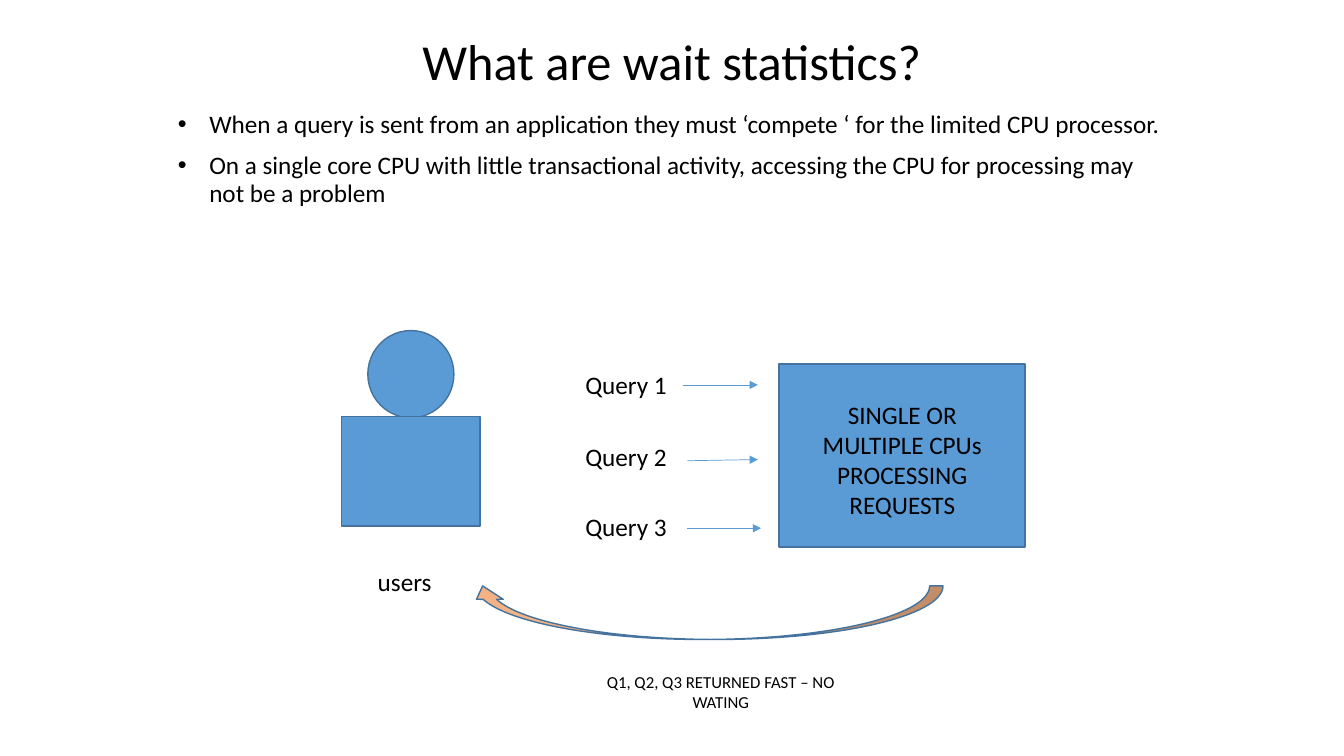
from dataclasses import dataclass

from lxml import etree
from pptx import Presentation
from pptx.dml.color import RGBColor
from pptx.enum import shapes, text
from pptx.oxml import ns
from pptx.util import Cm, Pt

COLOURS = {
    "text": "000000",
    "blue": "5B9BD5",
    "outline": "43739E",
    "orange": "F4B183",
}
FONT = "Calibri"
CENTRE = text.PP_ALIGN.CENTER
LEFT = text.PP_ALIGN.LEFT


@dataclass
class Area:
    left: float
    top: float
    width: float
    height: float

    def lengths(self) -> tuple:
        return Cm(self.left), Cm(self.top), Cm(self.width), Cm(self.height)


@dataclass
class Figure:
    kind: shapes.MSO_SHAPE
    area: Area
    fill: str = "blue"
    rotation: float = 0


@dataclass
class Label:
    words: str
    area: Area
    size: float = 18
    align: text.PP_ALIGN = LEFT


@dataclass
class Arrow:
    start: tuple[float, float]
    end: tuple[float, float]


FIGURES = [
    Figure(shapes.MSO_SHAPE.RECTANGLE, Area(19.63, 9.17, 6.2, 4.62)),
    Figure(shapes.MSO_SHAPE.OVAL, Area(9.27, 8.33, 2.17, 2.2)),
    Figure(shapes.MSO_SHAPE.RECTANGLE, Area(8.61, 10.49, 3.49, 2.77)),
    Figure(shapes.MSO_SHAPE.CURVED_LEFT_ARROW,
           Area(17.12, 9.47, 1.35, 11.94), "orange", 90),
]
QUERY_TOPS = [9.17, 11.0, 12.75]
LABELS = [
    Label(f"Query {number}", Area(14.5, top, 2.67, 1.02))
    for number, top in enumerate(QUERY_TOPS, start=1)
] + [
    Label("SINGLE OR MULTIPLE CPUs\nPROCESSING REQUESTS",
          Area(20.29, 9.93, 4.9, 3.33), align=CENTRE),
    Label("users", Area(9.27, 14.15, 2.17, 1.02)),
    Label("Q1, Q2, Q3 RETURNED FAST – NO WATING",
          Area(14.38, 16.81, 7.57, 1.27), 12, CENTRE),
]
ARROWS = [
    Arrow((17.2, 9.7), (19.1, 9.7)),
    Arrow((17.32, 11.61), (19.1, 11.58)),
    Arrow((17.32, 13.31), (19.18, 13.31)),
]
BULLETS = [
    "When a query is sent from an application they must ‘compete ‘ "
    "for the limited CPU processor.",
    "On a single core CPU with little transactional activity, "
    "accessing the CPU for processing may not be a problem",
]


def colour(name: str) -> RGBColor:
    return RGBColor.from_string(COLOURS[name])


def write(box, words: str, size: float, align: text.PP_ALIGN) -> None:
    frame = box.text_frame
    frame.text = words
    frame.word_wrap = True
    frame.auto_size = text.MSO_AUTO_SIZE.NONE
    for para in frame.paragraphs:
        para.alignment = align
        for span in para.runs:
            span.font.name = FONT
            span.font.size = Pt(size)
            span.font.color.rgb = colour("text")


def place(box, area: Area) -> None:
    box.left, box.top, box.width, box.height = area.lengths()


def fill_title(box) -> None:
    place(box, Area(4.23, 0.69, 25.4, 1.75))
    write(box, "What are wait statistics?", 36, CENTRE)
    box.text_frame.vertical_anchor = text.MSO_ANCHOR.BOTTOM
    box.text_frame.paragraphs[0].line_spacing = 0.9


def fill_bullets(box) -> None:
    place(box, Area(4.23, 2.69, 25.4, 15.19))
    write(box, "\n".join(BULLETS), 18, LEFT)
    box.text_frame.vertical_anchor = text.MSO_ANCHOR.TOP
    for para in box.text_frame.paragraphs:
        para.line_spacing = 0.9
        para.space_before = Pt(10)
        properties = para._p.get_or_add_pPr()
        properties.set("marL", str(Cm(0.79)))
        properties.set("indent", str(-Cm(0.79)))
        etree.SubElement(properties, ns.qn("a:buFont"), typeface="Arial")
        etree.SubElement(properties, ns.qn("a:buChar"), char="•")


def draw_figure(page, figure: Figure) -> None:
    shape = page.shapes.add_shape(figure.kind, *figure.area.lengths())
    shape.shadow.inherit = False
    shape.rotation = figure.rotation
    shape.fill.solid()
    shape.fill.fore_color.rgb = colour(figure.fill)
    shape.line.color.rgb = colour("outline")
    shape.line.width = Pt(1)


def draw_label(page, label: Label) -> None:
    box = page.shapes.add_textbox(*label.area.lengths())
    write(box, label.words, label.size, label.align)


def draw_arrow(page, arrow: Arrow) -> None:
    ends = [Cm(length) for length in arrow.start + arrow.end]
    connector = page.shapes.add_connector(shapes.MSO_CONNECTOR.STRAIGHT, *ends)
    connector.line.color.rgb = colour("blue")
    connector.line.width = Pt(0.5)
    outline = connector.line._get_or_add_ln()
    etree.SubElement(outline, ns.qn("a:tailEnd"), type="triangle")
    etree.SubElement(connector._element.spPr, ns.qn("a:effectLst"))


def main() -> None:
    deck = Presentation()
    deck.slide_width, deck.slide_height = Cm(33.87), Cm(19.05)
    page = deck.slides.add_slide(deck.slide_layouts[0])
    fill_title(page.shapes.title)
    fill_bullets(page.placeholders[1])
    for figure in FIGURES:
        draw_figure(page, figure)
    for label in LABELS:
        draw_label(page, label)
    for arrow in ARROWS:
        draw_arrow(page, arrow)
    deck.save("out.pptx")


if __name__ == "__main__":
    main()
